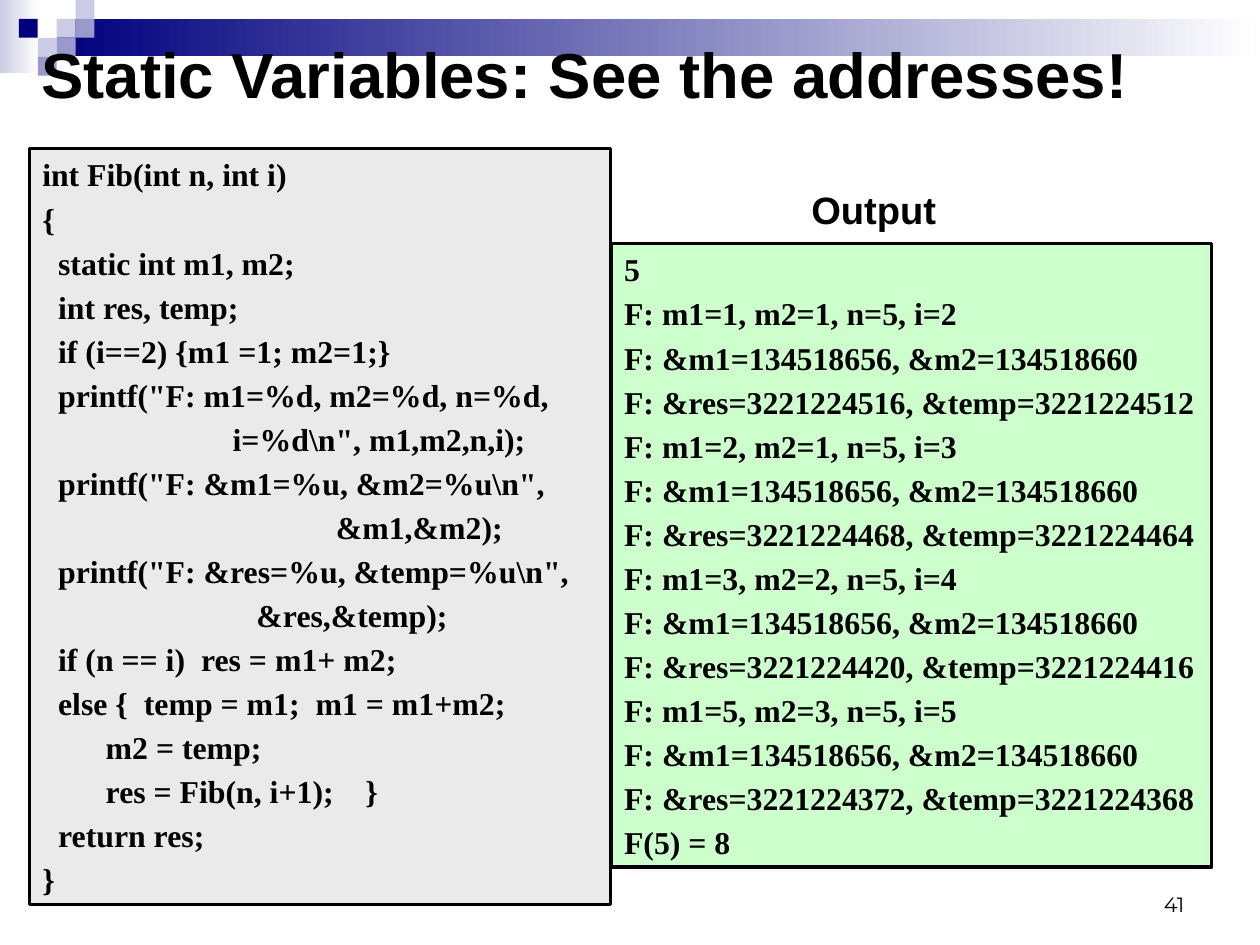
from pptx import Presentation
from pptx.dml.color import RGBColor
from pptx.enum.shapes import MSO_SHAPE
from pptx.enum.text import MSO_ANCHOR, PP_ALIGN
from pptx.util import Cm, Pt

BLACK = RGBColor(0x00, 0x00, 0x00)
WHITE = RGBColor(0xFF, 0xFF, 0xFF)
NAVY = RGBColor(0x00, 0x00, 0x7D)
LAVENDER = RGBColor(0xCC, 0xCC, 0xE6)
PERIWINKLE = RGBColor(0x99, 0x99, 0xCC)
CODE_GRAY = RGBColor(0xEA, 0xEA, 0xEA)
OUTPUT_GREEN = RGBColor(0xCC, 0xFF, 0xCC)

TILE = 0.42
TILES = [
    (3, 1, LAVENDER),
    (4, 0, LAVENDER),
    (4, 1, PERIWINKLE),
    (2, 2, LAVENDER),
    (1, 1, NAVY),
    (3, 2, PERIWINKLE),
    (2, 3, PERIWINKLE),
]

TITLE_FORMAT = {"name": "Arial", "size": Pt(40), "bold": True}
LABEL_FORMAT = {"name": "Arial", "size": Pt(24), "bold": True}
CODE_FORMAT = {"name": "Times New Roman", "size": Pt(20), "bold": True}
NUMBER_FORMAT = {"name": "Montserrat", "size": Pt(13), "bold": False}

FIB_CODE = r"""int Fib(int n, int i)
{
  static int m1, m2;
  int res, temp;
  if (i==2) {m1 =1; m2=1;}
  printf("F: m1=%d, m2=%d, n=%d,
                        i=%d\n", m1,m2,n,i);
  printf("F: &m1=%u, &m2=%u\n",
                                     &m1,&m2);
  printf("F: &res=%u, &temp=%u\n",
                           &res,&temp);
  if (n == i)  res = m1+ m2;
  else {  temp = m1;  m1 = m1+m2;
        m2 = temp;
        res = Fib(n, i+1);    }
  return res;
}"""

FIB_OUTPUT = """5
F: m1=1, m2=1, n=5, i=2
F: &m1=134518656, &m2=134518660
F: &res=3221224516, &temp=3221224512
F: m1=2, m2=1, n=5, i=3
F: &m1=134518656, &m2=134518660
F: &res=3221224468, &temp=3221224464
F: m1=3, m2=2, n=5, i=4
F: &m1=134518656, &m2=134518660
F: &res=3221224420, &temp=3221224416
F: m1=5, m2=3, n=5, i=5
F: &m1=134518656, &m2=134518660
F: &res=3221224372, &temp=3221224368
F(5) = 8"""


def add_rectangle(slide, box):
    shape = slide.shapes.add_shape(MSO_SHAPE.RECTANGLE, *map(Cm, box))
    shape.shadow.inherit = False
    shape.line.fill.background()
    return shape


def add_tile(slide, column, row, color):
    shape = add_rectangle(slide, (column * TILE, row * TILE, TILE, TILE))
    shape.fill.solid()
    shape.fill.fore_color.rgb = color


def add_fade(slide, box, color):
    fill = add_rectangle(slide, box).fill
    fill.gradient()
    fill.gradient_angle = 0
    for stop, stop_color in zip(fill.gradient_stops, (color, WHITE)):
        stop.color.rgb = stop_color


def write_text(shape, text, font_format, anchor=MSO_ANCHOR.TOP,
               alignment=PP_ALIGN.LEFT, insets=(0.28, 0.15)):
    horizontal, vertical = map(Cm, insets)
    frame_format = {
        "word_wrap": True,
        "vertical_anchor": anchor,
        "margin_left": horizontal,
        "margin_right": horizontal,
        "margin_top": vertical,
        "margin_bottom": vertical,
    }
    frame = shape.text_frame
    for name, value in frame_format.items():
        setattr(frame, name, value)
    for index, line in enumerate(text.splitlines()):
        paragraph = frame.add_paragraph() if index else frame.paragraphs[0]
        paragraph.alignment = alignment
        paragraph.space_before = Pt(3.75 if index else 0)
        run = paragraph.add_run()
        run.text = line
        for name, value in font_format.items():
            setattr(run.font, name, value)
        run.font.color.rgb = BLACK


def add_text(slide, box, text, font_format, **layout):
    shape = slide.shapes.add_textbox(*map(Cm, box))
    write_text(shape, text, font_format, **layout)


def add_panel(slide, box, text, color):
    shape = add_rectangle(slide, box)
    shape.fill.solid()
    shape.fill.fore_color.rgb = color
    shape.line.color.rgb = BLACK
    shape.line.width = Pt(2)
    write_text(shape, text, CODE_FORMAT)


def main():
    presentation = Presentation()
    presentation.slide_width = Cm(28)
    presentation.slide_height = Cm(21)
    slide = presentation.slides.add_slide(presentation.slide_layouts[6])

    add_fade(slide, (0, 0, 0.86, 1.63), LAVENDER)
    add_fade(slide, (1.27, 0.42, 26.73, 0.82), NAVY)
    for column, row, color in TILES:
        add_tile(slide, column, row, color)

    add_text(slide, (20.07, 19.13, 6.53, 1.4), "41", NUMBER_FORMAT,
             anchor=MSO_ANCHOR.BOTTOM, alignment=PP_ALIGN.RIGHT)
    add_text(slide, (0.64, 0.64, 26.44, 1.98),
             "Static Variables: See the addresses!", TITLE_FORMAT,
             anchor=MSO_ANCHOR.MIDDLE)
    add_panel(slide, (13.59, 5.41, 13.34, 13.86), FIB_OUTPUT, OUTPUT_GREEN)
    add_panel(slide, (0.66, 3.3, 12.9, 16.8), FIB_CODE, CODE_GRAY)
    add_text(slide, (18.03, 4.14, 3.61, 1.02), "Output", LABEL_FORMAT,
             insets=(0, 0))

    presentation.save("out.pptx")


if __name__ == "__main__":
    main()
